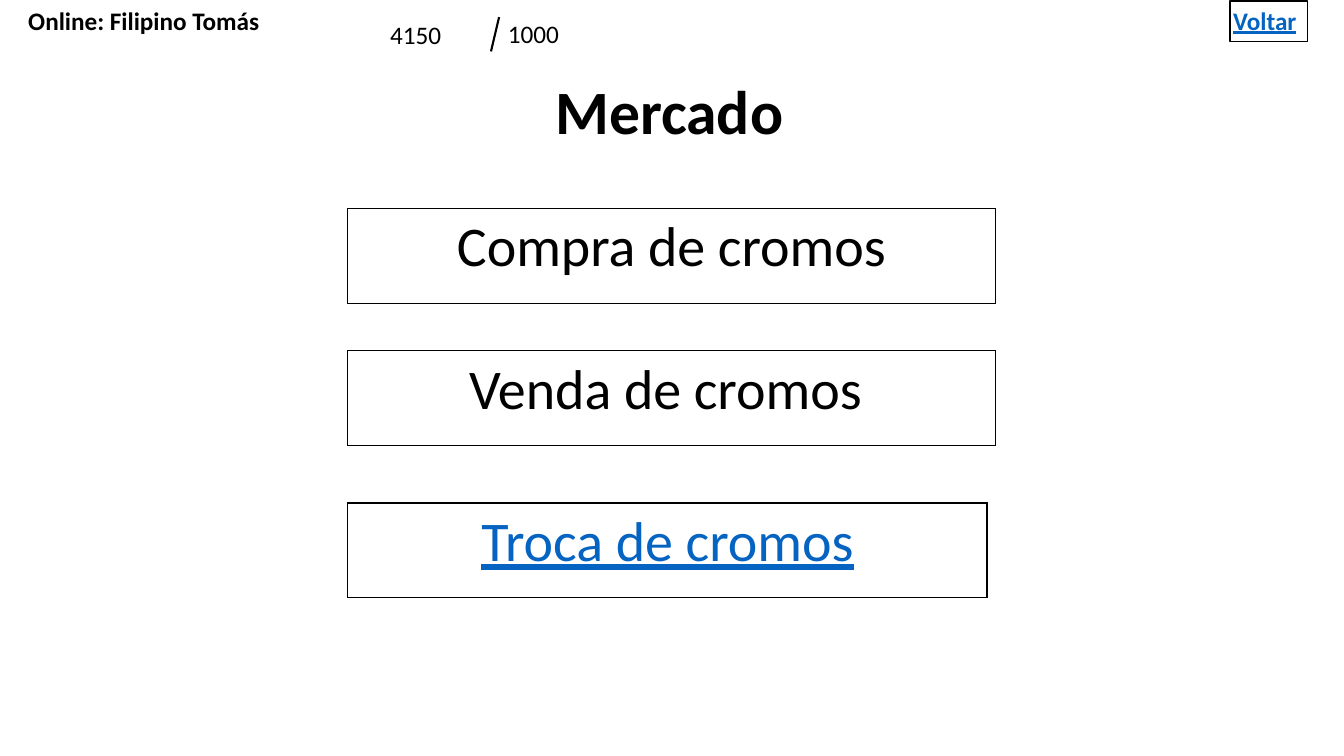
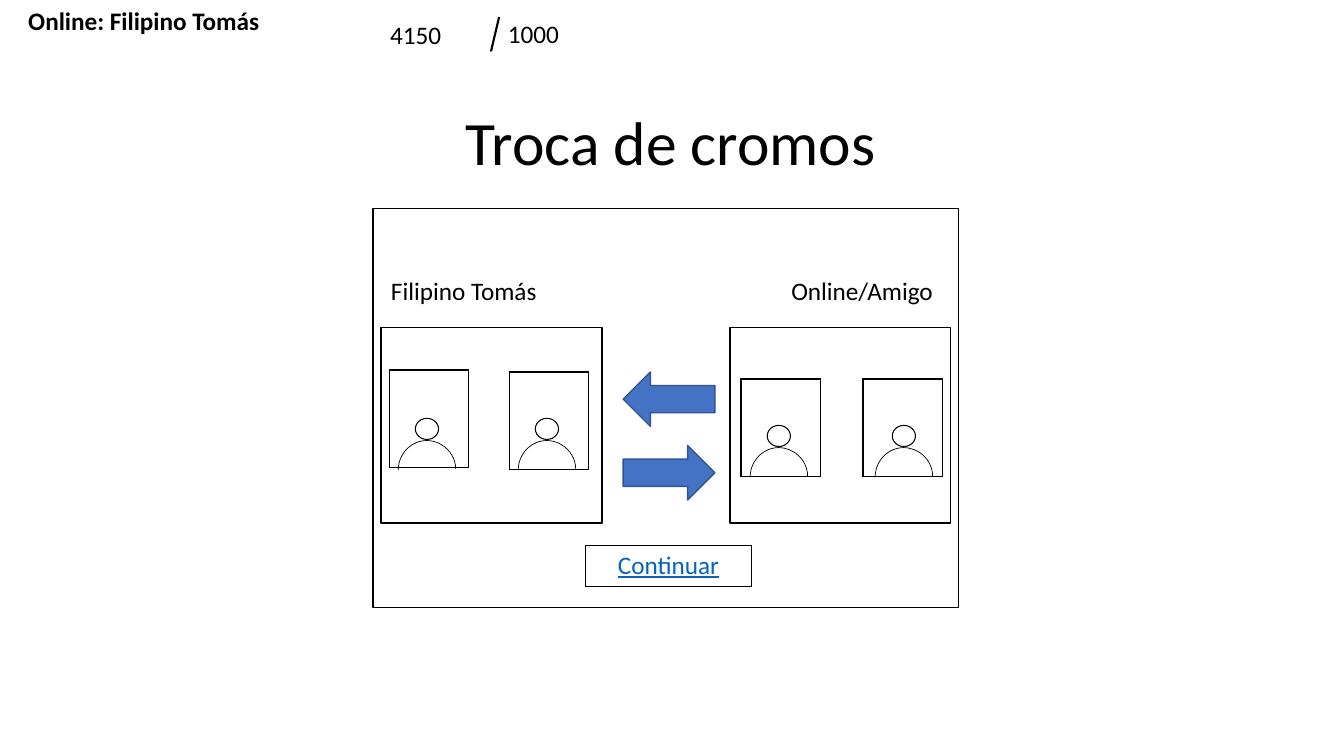
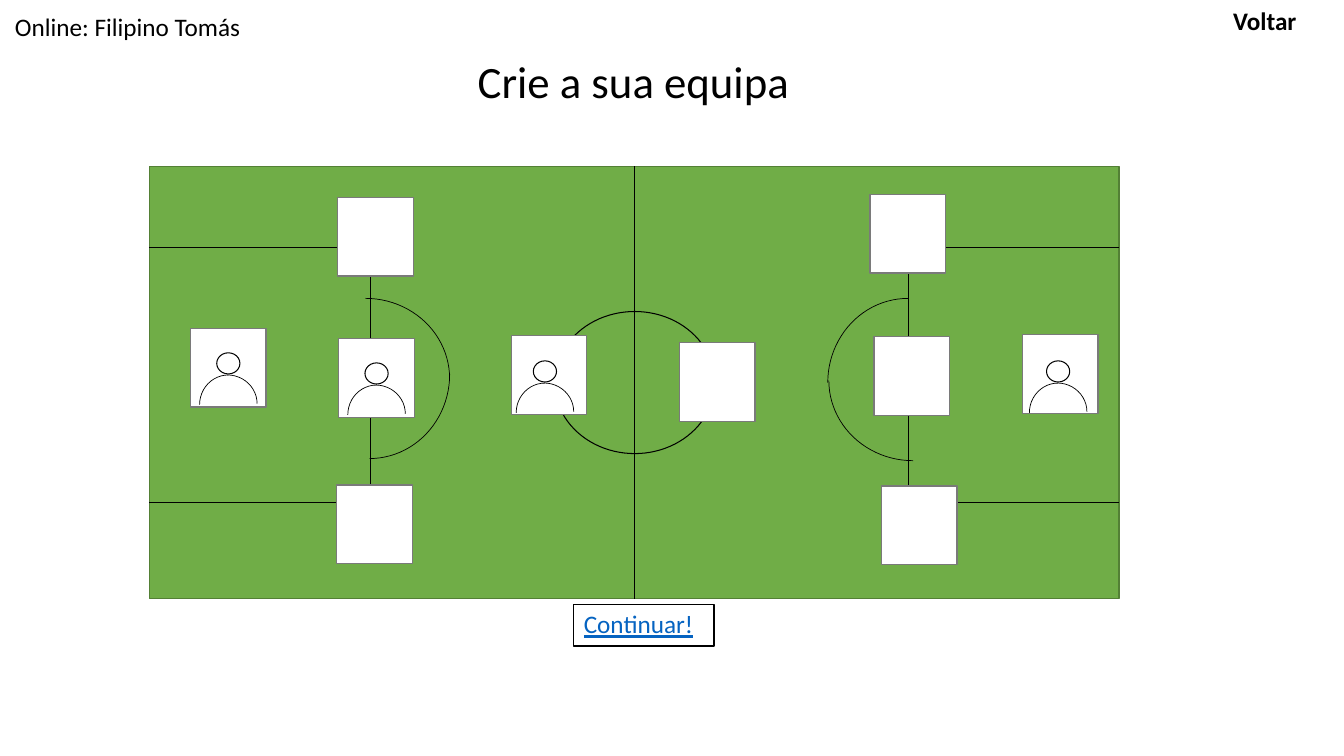
from dataclasses import dataclass

import lxml.etree
import pptx
import pptx.dml.color
import pptx.enum.shapes
import pptx.enum.text
import pptx.oxml.ns
import pptx.util

Inches = pptx.util.Inches
SHAPES = pptx.enum.shapes.MSO_SHAPE
ALIGN = pptx.enum.text.PP_ALIGN


@dataclass(frozen=True)
class Theme:
    font: str = "Calibri"
    black: str = "000000"
    white: str = "FFFFFF"
    link: str = "0563C1"
    arrow: str = "4472C4"
    arrow_edge: str = "325491"
    grass: str = "70AD47"
    grass_edge: str = "538035"
    card_edge: str = "7A7A7A"
    title: int = 44
    subtitle: int = 32
    button: int = 40
    body: int = 18
    thin: float = 0.5
    medium: float = 0.75
    normal: float = 1
    thick: float = 1.5


THEME = Theme()


@dataclass(frozen=True)
class Box:
    left: float
    top: float
    width: float
    height: float

    def inside(self, left, top, width, height):
        return Box(self.left + left, self.top + top, width, height)

    def lengths(self):
        return [Inches(value) for value in (self.left, self.top, self.width, self.height)]


def rgb(color):
    return pptx.dml.color.RGBColor.from_string(color)


def write(text_frame, text, size, bold=False, link=False, align=ALIGN.LEFT):
    text_frame.text = text
    paragraph = text_frame.paragraphs[0]
    paragraph.alignment = align
    for run in paragraph.runs:
        run.font.name = THEME.font
        run.font.size = pptx.util.Pt(size)
        run.font.bold = bold
        run.font.underline = link
        run.font.color.rgb = rgb(THEME.link if link else THEME.black)


def add_text(slide, box, text, size=THEME.body, **style):
    text_box = slide.shapes.add_textbox(*box.lengths())
    text_box.text_frame.word_wrap = True
    write(text_box.text_frame, text, size, **style)


def add_shape(slide, kind, box, fill=None, line=THEME.black, width=THEME.normal, rotation=0):
    shape = slide.shapes.add_shape(kind, *box.lengths())
    shape.shadow.inherit = False
    shape.rotation = rotation
    if fill:
        shape.fill.solid()
        shape.fill.fore_color.rgb = rgb(fill)
    else:
        shape.fill.background()
    shape.line.color.rgb = rgb(line)
    shape.line.width = pptx.util.Pt(width)


def add_line(slide, box, start, end, width=THEME.thin):
    points = [Inches(value) for x, y in (start, end) for value in (box.left + x, box.top + y)]
    connector = slide.shapes.add_connector(pptx.enum.shapes.MSO_CONNECTOR.STRAIGHT, *points)
    connector.line.color.rgb = rgb(THEME.black)
    connector.line.width = pptx.util.Pt(width)
    lxml.etree.SubElement(connector._element.spPr, pptx.oxml.ns.qn("a:effectLst"))


def set_borders(cell, color):
    properties = cell._tc.get_or_add_tcPr()
    for position, side in enumerate(("lnL", "lnR", "lnT", "lnB")):
        border = lxml.etree.Element(pptx.oxml.ns.qn("a:" + side), w=str(pptx.util.Pt(THEME.normal)))
        if color:
            fill = lxml.etree.SubElement(border, pptx.oxml.ns.qn("a:solidFill"))
            lxml.etree.SubElement(fill, pptx.oxml.ns.qn("a:srgbClr"), val=color)
        else:
            lxml.etree.SubElement(border, pptx.oxml.ns.qn("a:noFill"))
        properties.insert(position, border)


def add_cell(slide, box, text="", size=THEME.body, border=None, margins=(0.1, 0.1), **style):
    table = slide.shapes.add_table(1, 1, *box.lengths()).table
    table.first_row = False
    table.horz_banding = False
    cell = table.cell(0, 0)
    cell.fill.background()
    cell.margin_left, cell.margin_right = [Inches(margin) for margin in margins]
    set_borders(cell, border)
    if text:
        write(cell.text_frame, text, size, **style)


def add_score_header(slide, box):
    add_cell(slide, box.inside(0.13, 0.01, 2.6, 0.41), "Online: Filipino Tomás",
             margins=(0.15, 0.1), bold=True)
    add_text(slide, box.inside(3.77, 0.14, 1.1, 0.4), "4150")
    add_text(slide, box.inside(4.94, 0.13, 1.7, 0.4), "1000")
    add_line(slide, box, (4.87, 0.51), (4.95, 0.17), THEME.thick)


def add_back(slide, box, link):
    add_cell(slide, box.inside(12.13, 0.01, 0.97, 0.41), "Voltar", bold=True, link=link)


def add_person(slide, box):
    for shift, rotation in ((0, 0), (0.01, 270)):
        add_shape(slide, SHAPES.ARC, box.inside(shift, shift, 0.59, 0.57),
                  width=THEME.thin, rotation=rotation)
    add_shape(slide, SHAPES.FLOWCHART_CONNECTOR, box.inside(0.19, -0.22, 0.23, 0.21),
              width=THEME.medium)


def add_market_menu(slide, box):
    buttons = (
        ("Compra de cromos", 0, 6.42, 0.1, False),
        ("Venda de cromos", 1.41, 6.42, 0.22, False),
        ("Troca de cromos", 2.92, 6.34, 0.1, True),
    )
    for text, top, width, right_margin, link in buttons:
        add_cell(slide, box.inside(0, top, width, 0.94), text, THEME.button, THEME.black,
                 margins=(0.1, right_margin), align=ALIGN.CENTER, link=link)


def add_exchange_panel(slide, box):
    add_shape(slide, SHAPES.RECTANGLE, box, THEME.white)
    for left in (0.08, 3.54):
        add_shape(slide, SHAPES.RECTANGLE, box.inside(left, 1.18, 2.19, 1.94), THEME.white)
    for left, name in ((0.08, "Filipino Tomás"), (4.05, "Online/Amigo")):
        add_text(slide, box.inside(left, 0.61, 1.73, 0.4), name)
    for top, rotation in ((1.62, 180), (2.35, 0)):
        add_shape(slide, SHAPES.RIGHT_ARROW, box.inside(2.48, top, 0.91, 0.54),
                  THEME.arrow, THEME.arrow_edge, rotation=rotation)
    cards = ((0.16, 1.6, 0.07, 0.7), (1.35, 1.62, 0.07, 0.68),
             (3.65, 1.69, 0.07, 0.68), (4.86, 1.69, 0.1, 0.68))
    for left, top, person_left, person_top in cards:
        card = box.inside(left, top, 0.79, 0.97)
        add_cell(slide, card, border=THEME.black)
        add_person(slide, card.inside(person_left, person_top, 0.59, 0.57))
    add_cell(slide, box.inside(2.11, 3.34, 1.64, 0.41), "Continuar", border=THEME.black,
             align=ALIGN.CENTER, link=True)


def add_pitch(slide, box):
    add_shape(slide, SHAPES.RECTANGLE, box, THEME.grass, THEME.grass_edge)
    area_top, area_bottom = 0.8, 3.33
    for goal_line, area_line in ((0, 2.19), (box.width, 7.53)):
        corners = ((goal_line, area_top), (area_line, area_top),
                   (area_line, area_bottom), (goal_line, area_bottom))
        for start, end in zip(corners, corners[1:]):
            add_line(slide, box, start, end)
    for left, top, rotation in ((1.31, 1.31, 0), (1.35, 1.27, 90),
                                (6.69, 1.35, 270), (6.74, 1.33, 180)):
        add_shape(slide, SHAPES.ARC, box.inside(left, top, 1.67, 1.59),
                  width=THEME.thin, rotation=rotation)
    add_shape(slide, SHAPES.FLOWCHART_CONNECTOR, box.inside(4.02, 1.44, 1.59, 1.41),
              width=THEME.medium)
    add_line(slide, box, (box.width / 2, 0), (box.width / 2, box.height))


def add_players(slide, box):
    players = (
        (0.41, 1.61, (0.07, 0.46)), (1.87, 0.31, None), (1.88, 1.71, (0.07, 0.46)),
        (1.86, 3.16, None), (3.59, 1.68, (0.03, 0.47)), (5.26, 1.75, None),
        (7.15, 0.28, None), (7.19, 1.69, None), (7.26, 3.17, None),
        (8.66, 1.67, (0.05, 0.48)),
    )
    for left, top, person in players:
        card = box.inside(left, top, 0.75, 0.78)
        add_shape(slide, SHAPES.RECTANGLE, card, THEME.white, THEME.card_edge)
        if person:
            add_person(slide, card.inside(*person, 0.59, 0.57))


def build_market(slide, page):
    add_text(slide, page.inside(5.41, 0.67, 2.5, 0.84), "Mercado", THEME.title, bold=True)
    add_score_header(slide, page)
    add_back(slide, page, link=True)
    add_shape(slide, SHAPES.RECTANGLE, page.inside(12.2, 0.01, 0.77, 0.4))
    add_market_menu(slide, page.inside(3.45, 2.07, 6.42, 3.86))


def build_exchange(slide, page):
    add_text(slide, page.inside(4.52, 0.98, 4.29, 0.84), "Troca de cromos", THEME.title)
    add_score_header(slide, page)
    add_exchange_panel(slide, page.inside(3.7, 2.07, 5.81, 3.96))


def build_team(slide, page):
    pitch = page.inside(1.48, 1.65, 9.62, 4.29)
    add_pitch(slide, pitch)
    add_players(slide, pitch)
    add_text(slide, page.inside(0.05, 0.06, 6.62, 0.4), "Online: Filipino Tomás")
    add_back(slide, page, link=False)
    add_text(slide, page.inside(4.64, 0.48, 3.3, 0.64), "Crie a sua equipa", THEME.subtitle)
    button = page.inside(5.69, 6, 1.39, 0.41)
    add_cell(slide, button, "Continuar!", link=True)
    add_shape(slide, SHAPES.RECTANGLE, button)


def main():
    presentation = pptx.Presentation()
    page = Box(0, 0, 13.33, 7.5)
    presentation.slide_width = Inches(page.width)
    presentation.slide_height = Inches(page.height)
    for build in (build_market, build_exchange, build_team):
        build(presentation.slides.add_slide(presentation.slide_layouts[6]), page)
    presentation.save("out.pptx")


if __name__ == "__main__":
    main()
